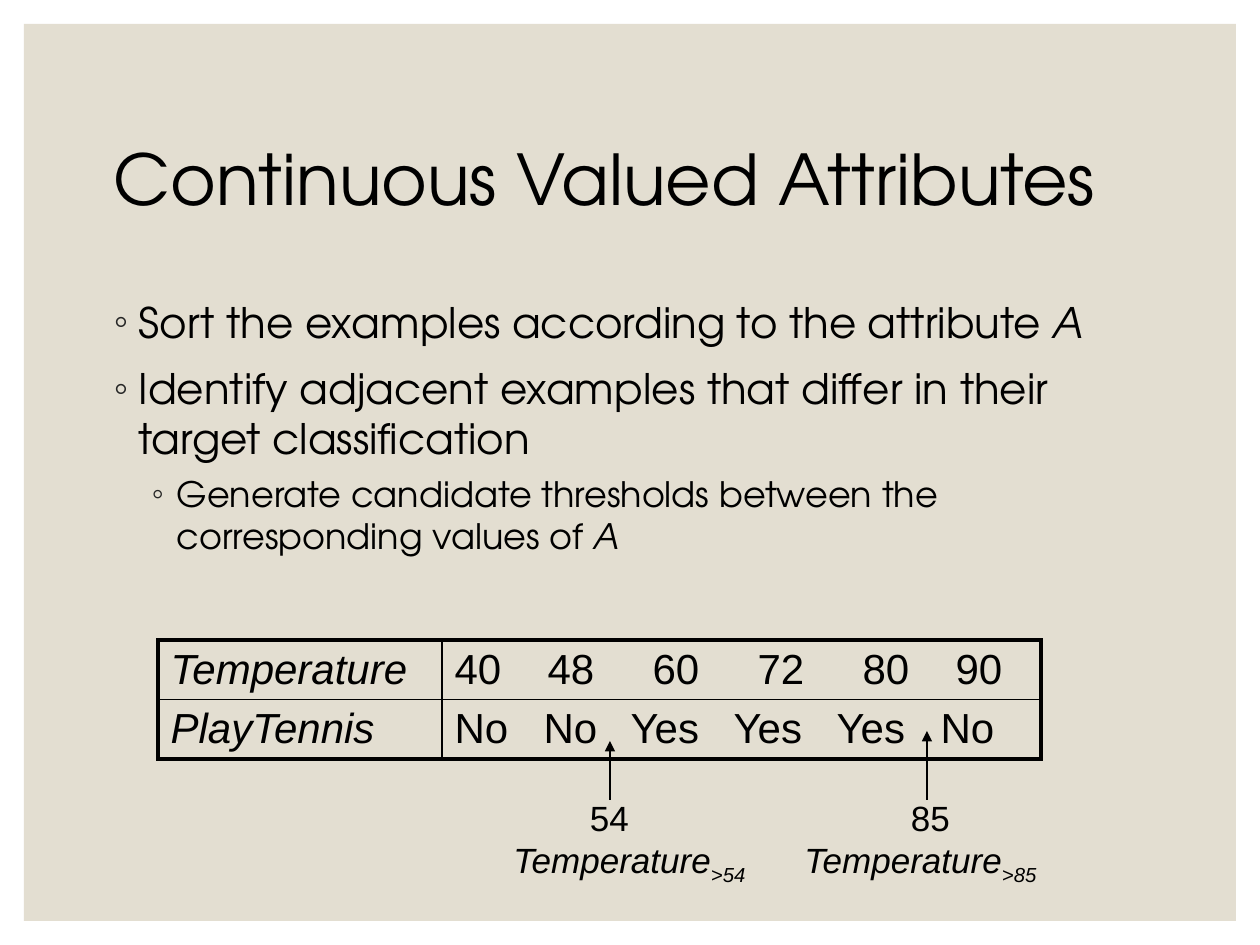
import pptx
import pptx.dml.color
import pptx.enum.shapes
import pptx.enum.text
import pptx.oxml.ns
import pptx.util
from lxml import etree

PX = 914400 / 126
HEADING_FONT = "TeX Gyre Adventor"
TABLE_FONT = "Arial"
BLACK = "000000"
SAND = "E3DED1"
BULLET_GRAY = "262626"


def px(length):
    return pptx.util.Emu(round(length * PX))


def rgb(hex_color):
    return pptx.dml.color.RGBColor.from_string(hex_color)


def add_element(parent, tag, **attributes):
    return etree.SubElement(parent, pptx.oxml.ns.qn(tag), attributes)


def place(shape, box):
    shape.left, shape.top, shape.width, shape.height = map(px, box)


def add_run(paragraph, text, font, size, italic=False, subscript=False):
    run = paragraph.add_run()
    run.text = text
    run.font.name = font
    run.font.size = pptx.util.Pt(size)
    run.font.italic = italic
    run.font.color.rgb = rgb(BLACK)
    if subscript:
        run.font._element.set("baseline", "-25000")


def set_tabs(paragraph, stops):
    """Set tab stops from (offset in px, alignment) pairs."""
    tab_list = add_element(paragraph._p.get_or_add_pPr(), "a:tabLst")
    for offset, alignment in stops:
        add_element(tab_list, "a:tab", pos=str(px(offset)), algn=alignment)


def set_bullet(paragraph, indent, hanging):
    properties = paragraph._p.get_or_add_pPr()
    properties.set("marL", str(px(indent)))
    properties.set("indent", str(-px(hanging)))
    color = add_element(properties, "a:buClr")
    add_element(color, "a:srgbClr", val=BULLET_GRAY)
    add_element(properties, "a:buChar", char="◦")


def add_background(slide, box):
    panel = slide.shapes.add_shape(
        pptx.enum.shapes.MSO_SHAPE.RECTANGLE, *map(px, box))
    panel.shadow.inherit = False
    panel.fill.solid()
    panel.fill.fore_color.rgb = rgb(SAND)
    panel.line.fill.background()
    # The panel lies behind the placeholders
    slide.shapes._spTree.insert(2, panel._element)


def fill_title(slide, box):
    title = slide.shapes.title
    place(title, box)
    title.text_frame.vertical_anchor = pptx.enum.text.MSO_ANCHOR.MIDDLE
    paragraph = title.text_frame.paragraphs[0]
    paragraph.alignment = pptx.enum.text.PP_ALIGN.LEFT
    paragraph.line_spacing = 0.9
    add_run(paragraph, "Continuous Valued Attributes", HEADING_FONT, 40)


def fill_body(slide, box):
    body = slide.placeholders[1]
    place(body, box)
    frame = body.text_frame
    frame.auto_size = pptx.enum.text.MSO_AUTO_SIZE.NONE
    # level, space before, text, italic ending
    items = [
        (0, 0, "Sort the examples according to the attribute ", "A"),
        (0, 9, "Identify adjacent examples that differ in their "
               "target classification", ""),
        (1, 5, "Generate candidate thresholds between the "
               "corresponding values of ", "A"),
    ]
    for index, (level, space, text, ending) in enumerate(items):
        paragraph = frame.add_paragraph() if index else frame.paragraphs[0]
        paragraph.level = level
        set_bullet(paragraph, 63 if level else 25, 25)
        paragraph.space_before = pptx.util.Pt(space)
        size = 20 if level else 24
        add_run(paragraph, text, HEADING_FONT, size)
        if ending:
            add_run(paragraph, ending, HEADING_FONT, size, italic=True)


def set_borders(cell, widths):
    properties = cell._tc.get_or_add_tcPr()
    for side, width in zip("LRTB", widths):
        line = add_element(properties, f"a:ln{side}",
                           w=str(pptx.util.Pt(width)))
        fill = add_element(line, "a:solidFill")
        add_element(fill, "a:srgbClr", val=BLACK)


def add_examples_table(slide, box):
    rows = [
        ("Temperature", ["40", "48", "60", "72", "80", "90"],
         [93, 198, 303, 408, 501]),
        ("PlayTennis", ["No", "No", "Yes", "Yes", "Yes", "No"],
         [89, 176, 279, 382, 486]),
    ]
    outer, inner = 2.25, 1
    table = slide.shapes.add_table(len(rows), 2, *map(px, box)).table
    table.first_row = False
    table.horz_banding = False
    table.columns[0].width = px(284)
    table.columns[1].width = px(box[2] - 284)
    for row, (name, values, offsets) in enumerate(rows):
        for column, text in enumerate((name, "\t".join(values))):
            cell = table.cell(row, column)
            paragraph = cell.text_frame.paragraphs[0]
            if column:
                set_tabs(paragraph, [(offset, "l") for offset in offsets])
            add_run(paragraph, text, TABLE_FONT, 24, italic=column == 0)
            set_borders(cell, (
                inner if column else outer,
                outer if column else inner,
                inner if row else outer,
                outer if row else inner,
            ))
            cell.fill.background()


def add_threshold_labels(slide, box):
    frame = slide.shapes.add_textbox(*map(px, box)).text_frame
    frame.word_wrap = False
    values = frame.paragraphs[0]
    set_tabs(values, [(96, "ctr"), (417, "ctr")])
    add_run(values, "\t54\t85", TABLE_FONT, 20)
    tests = frame.add_paragraph()
    set_tabs(tests, [(291, "l")])
    for name, threshold in (("Temperature", ">54"), ("\tTemperature", ">85")):
        add_run(tests, name, TABLE_FONT, 20, italic=True)
        add_run(tests, threshold, TABLE_FONT, 20, italic=True, subscript=True)


def add_arrow(slide, x, bottom, top):
    arrow = slide.shapes.add_connector(
        pptx.enum.shapes.MSO_CONNECTOR.STRAIGHT,
        px(x), px(bottom), px(x), px(top))
    arrow.line.color.rgb = rgb(BLACK)
    arrow.line.width = pptx.util.Pt(0.75)
    add_element(arrow.line._get_or_add_ln(), "a:tailEnd", type="triangle")
    add_element(arrow._element.spPr, "a:effectLst")


def main():
    presentation = pptx.Presentation()
    presentation.slide_width = px(1260)
    presentation.slide_height = px(945)
    slide = presentation.slides.add_slide(presentation.slide_layouts[1])
    add_background(slide, (24, 24, 1212, 897))
    fill_title(slide, (101, 88, 1058, 189))
    fill_body(slide, (101, 290, 1058, 542))
    add_examples_table(slide, (158, 640, 883, 118))
    add_threshold_labels(slide, (501, 790, 561, 97))
    add_arrow(slide, 610, 800, 741)
    add_arrow(slide, 927, 800, 731)
    presentation.save("out.pptx")


if __name__ == "__main__":
    main()
